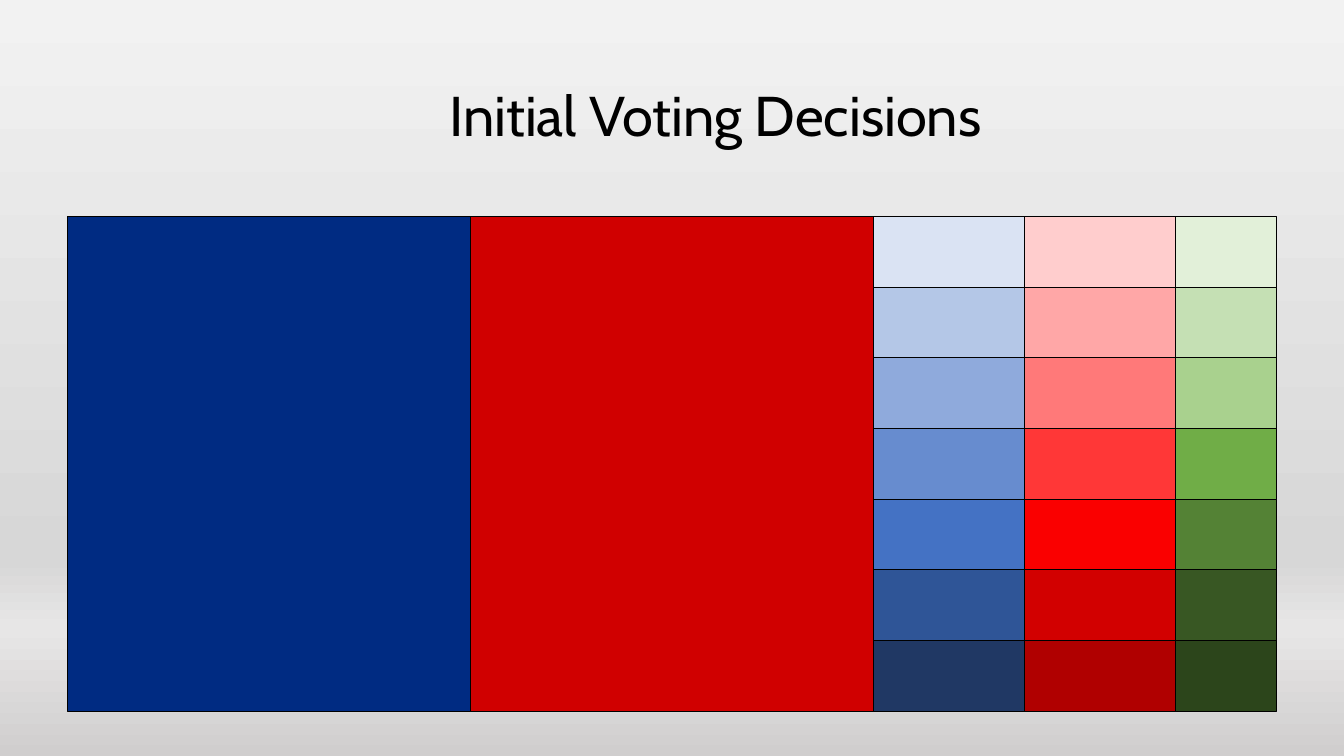
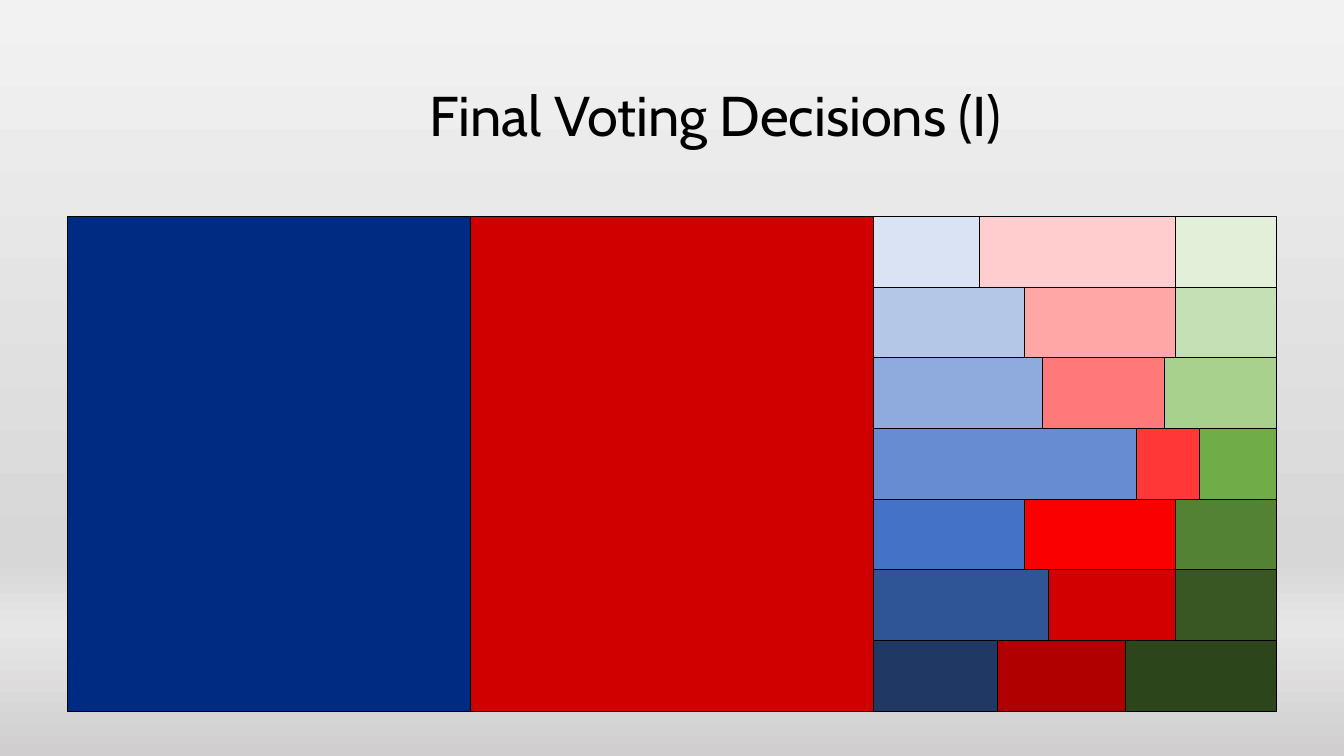
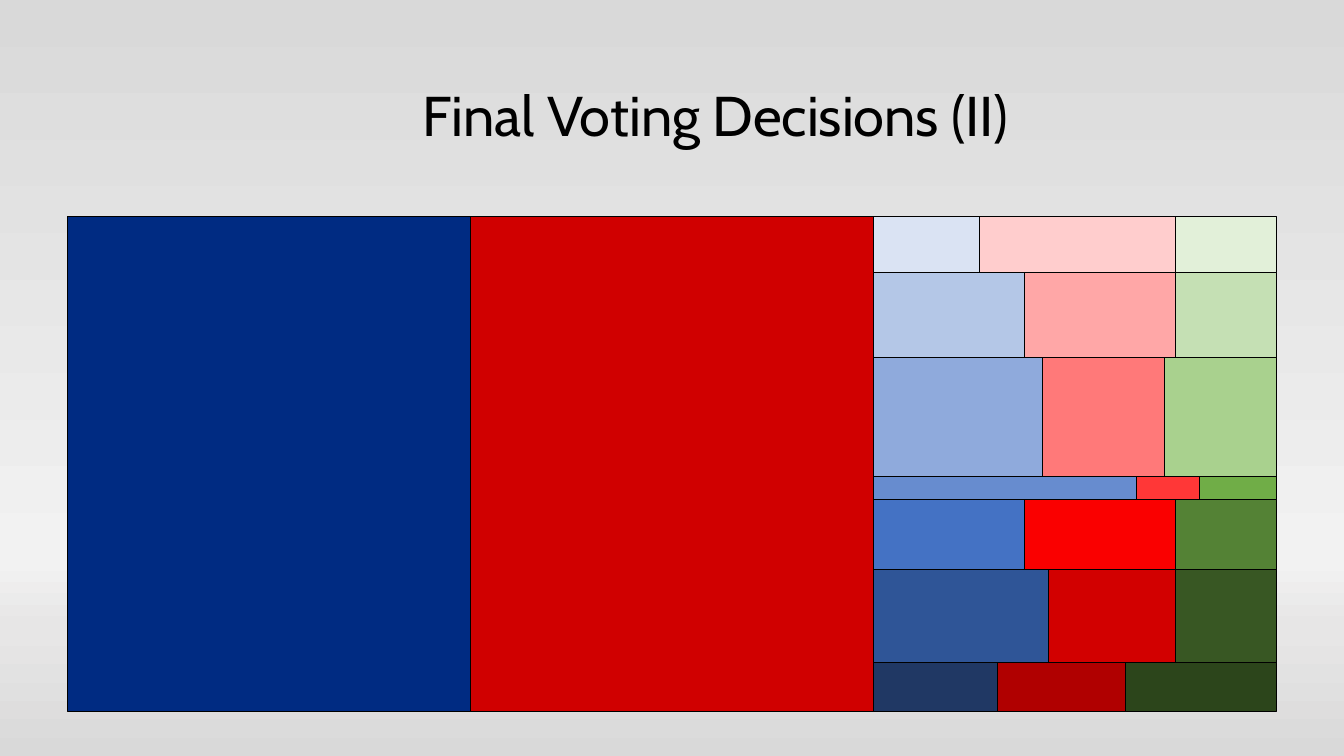
"""Build three slides that show voting decisions as blocks of proportional area."""
from lxml.etree import SubElement
from pptx import Presentation
from pptx.dml.color import RGBColor
from pptx.enum.shapes import MSO_SHAPE
from pptx.enum.text import MSO_ANCHOR, PP_ALIGN
from pptx.oxml.ns import qn
from pptx.util import Cm, Pt

COLORS = {
    "ink": "000000",
    "blue": "002B82",
    "red": "D00000",
    "blues": ["DAE3F3", "B4C7E7", "8FAADC", "678CCF", "4472C4", "2F5597", "203864"],
    "reds": ["FFCDCD", "FFA7A7", "FF7979", "FF3737", "FA0000", "D20000", "B00000"],
    "greens": ["E2F0D9", "C5E0B4", "A9D18E", "70AD47", "548235", "385723", "2C451B"],
    "backdrop": ["F2F2F2", "D7D7D7", "E7E6E6", "D0CECE"],
    "light backdrop": ["D9D9D9", "F2F2F2", "E7E6E6", "D9D9D9"],
}
BACKDROP_STOPS = [0, 74, 83, 100]
FONT = "Cabin"

CHART_LEFT, CHART_TOP = 1.69, 5.46
BLOCK_WIDTH, ROW_HEIGHT = 10.16, 1.78
ROW_COUNT = len(COLORS["blues"])
CHART_HEIGHT = ROW_HEIGHT * ROW_COUNT
SWING_LEFT = CHART_LEFT + 2 * BLOCK_WIDTH

EVEN_SPLIT = (3.81, 7.62)
EQUAL_SPLITS = [EVEN_SPLIT] * ROW_COUNT
FINAL_SPLITS = [(2.67, 7.62), EVEN_SPLIT, (4.27, 7.34), (6.64, 8.22),
                EVEN_SPLIT, (4.41, 7.62), (3.14, 6.35)]
EQUAL_HEIGHTS = [ROW_HEIGHT] * ROW_COUNT
TURNOUT_HEIGHTS = [1.4, 2.16, 3, 0.56, ROW_HEIGHT, 2.34, 1.22]

SLIDES = [
    ("Initial Voting Decisions", EQUAL_SPLITS, EQUAL_HEIGHTS, None),
    ("Final Voting Decisions (I)", FINAL_SPLITS, EQUAL_HEIGHTS, None),
    ("Final Voting Decisions (II)", FINAL_SPLITS, TURNOUT_HEIGHTS, "light backdrop"),
]


def paint_backdrop(target, name):
    """Fill the background with a gradient from top to bottom."""
    fill = target.background.fill
    fill.gradient()
    fill.gradient_angle = 270
    stop_list = target.element.find(".//" + qn("a:gsLst"))
    for stop in list(stop_list):
        stop_list.remove(stop)
    for position, color in zip(BACKDROP_STOPS, COLORS[name]):
        stop = SubElement(stop_list, qn("a:gs"), pos=str(position * 1000))
        SubElement(stop, qn("a:srgbClr"), val=color)


def add_block(slide, left, top, width, height, color):
    """Add a filled rectangle with a thin outline, measured in centimetres."""
    shape = slide.shapes.add_shape(
        MSO_SHAPE.RECTANGLE, Cm(left), Cm(top), Cm(width), Cm(height))
    shape.shadow.inherit = False
    shape.fill.solid()
    shape.fill.fore_color.rgb = RGBColor.from_string(color)
    shape.line.color.rgb = RGBColor.from_string(COLORS["ink"])
    shape.line.width = Pt(0.71)


presentation = Presentation()
presentation.slide_width, presentation.slide_height = Cm(33.87), Cm(19.05)
paint_backdrop(presentation.slide_master, "backdrop")

layout = presentation.slide_layouts.get_by_name("Title Only")
layout_title = layout.placeholders[0]
layout_title.left, layout_title.top = Cm(4.11), Cm(0.43)
layout_title.width, layout_title.height = Cm(27.84), Cm(4.88)
layout_title.text_frame.vertical_anchor = MSO_ANCHOR.MIDDLE

for title, splits, heights, backdrop in SLIDES:
    slide = presentation.slides.add_slide(layout)
    if backdrop:
        paint_backdrop(slide, backdrop)

    slide.shapes.title.text = title
    paragraph = slide.shapes.title.text_frame.paragraphs[0]
    paragraph.alignment = PP_ALIGN.CENTER
    paragraph.font.name = FONT
    paragraph.font.size = Pt(40)
    paragraph.font.color.rgb = RGBColor.from_string(COLORS["ink"])

    for column, party in enumerate(["blue", "red"]):
        add_block(slide, CHART_LEFT + column * BLOCK_WIDTH, CHART_TOP,
                  BLOCK_WIDTH, CHART_HEIGHT, COLORS[party])

    top = CHART_TOP
    for row, (split, height) in enumerate(zip(splits, heights)):
        edges = [0, *split, BLOCK_WIDTH]
        for start, end, shades in zip(edges, edges[1:], ["blues", "reds", "greens"]):
            add_block(slide, SWING_LEFT + start, top, end - start, height,
                      COLORS[shades][row])
        top += height

presentation.save("out.pptx")
